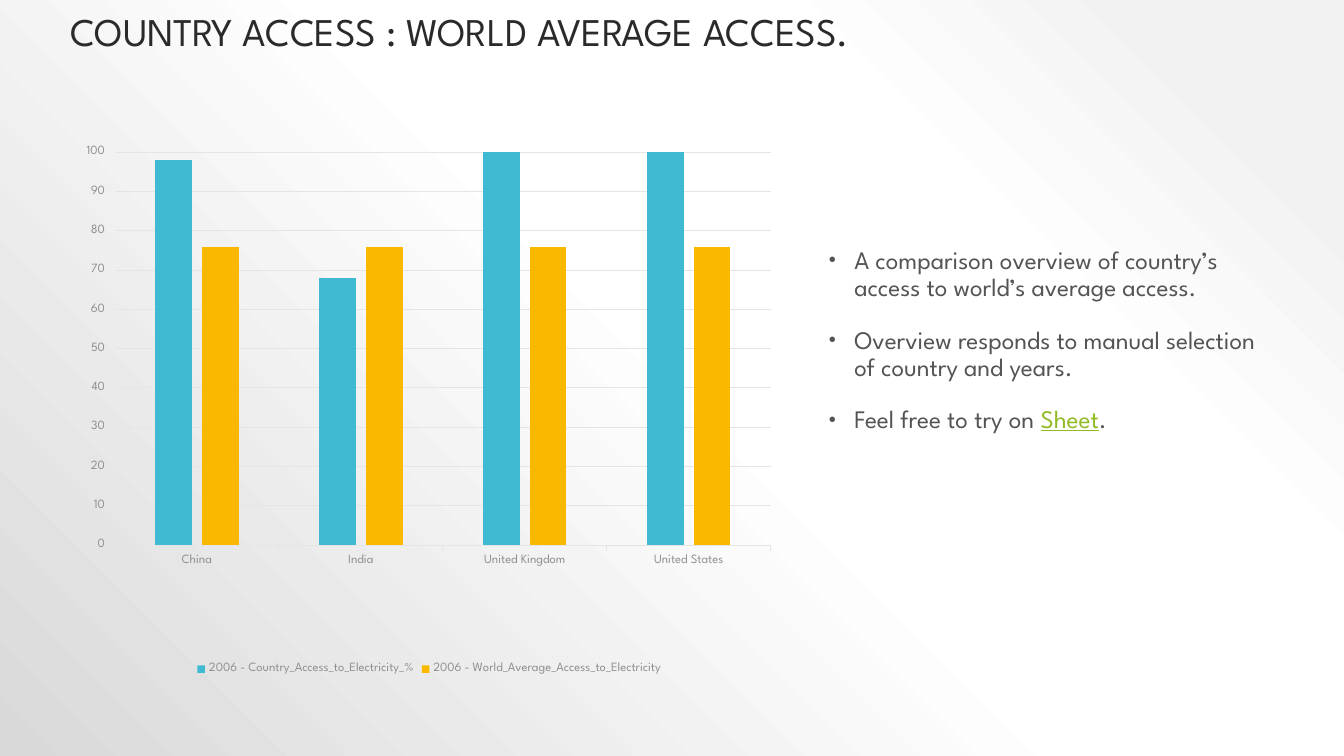
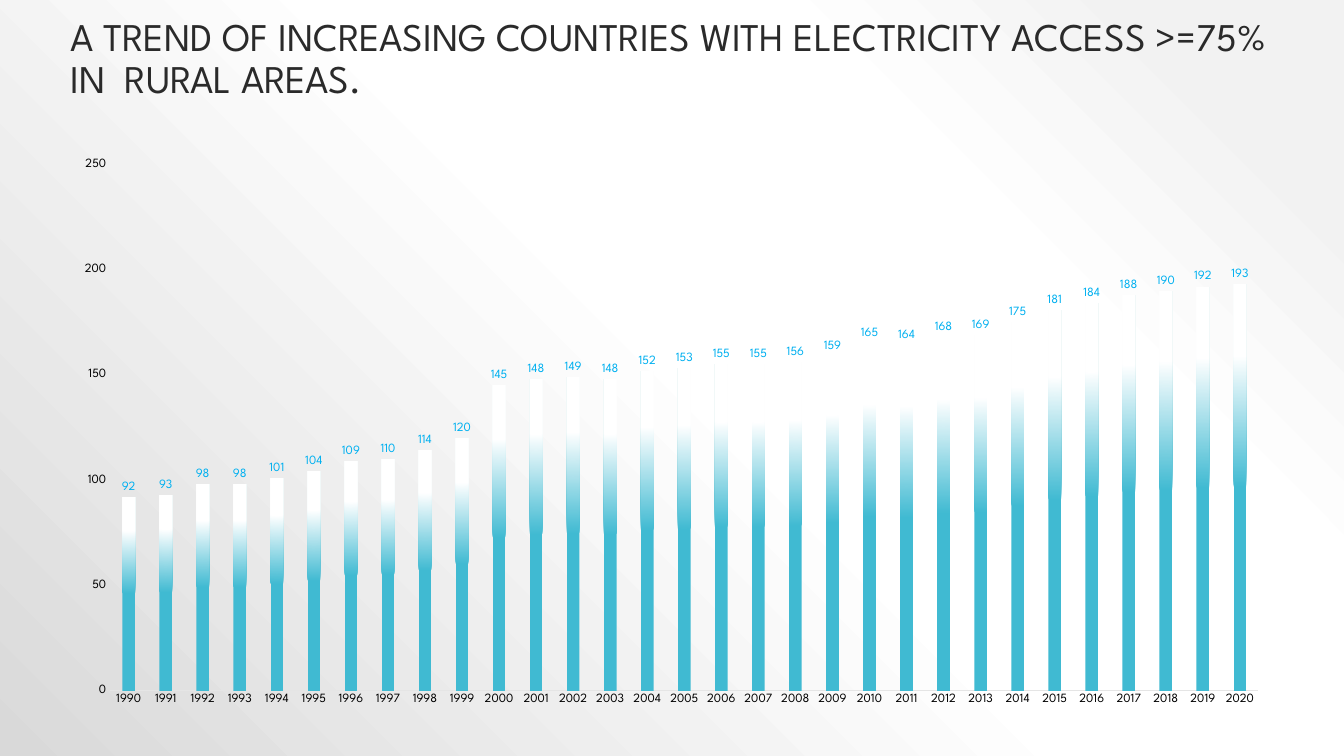
import pptx
import pptx.chart.data
import pptx.dml.color
import pptx.enum.chart
import pptx.enum.text
import pptx.oxml.ns
import pptx.util
from lxml import etree

Cm, Pt = pptx.util.Cm, pptx.util.Pt
qn = pptx.oxml.ns.qn
kinds = pptx.enum.chart

FACE = "League Spartan"
DARK, GREY, PALE, RULE = "2A2A2A", "545454", "909090", "E5E5E5"
BLUE, GOLD, GREEN, SKY = "40BAD2", "FAB900", "90BB23", "00B0F0"
LEFT, WIDE = 1.52, 30.81


def hue(code):
    return pptx.dml.color.RGBColor.from_string(code)


def blend(fill, root, stops, rect):
    """Give a fill, held somewhere in root, a circular gradient."""
    fill.gradient()
    grad = next(root.iter(qn("a:gradFill")))
    grad.clear()
    grad.set("rotWithShape", "1")
    row = etree.SubElement(grad, qn("a:gsLst"))
    for place, code in stops:
        stop = etree.SubElement(row, qn("a:gs"), pos=str(place * 1000))
        etree.SubElement(stop, qn("a:srgbClr"), val=code)
    ring = etree.SubElement(grad, qn("a:path"))
    ring.set("path", "circle")
    etree.SubElement(ring, qn("a:fillToRect"),
                     {side: str(part * 1000) for side, part in zip("ltrb", rect)})


deck = pptx.Presentation()
deck.slide_width, deck.slide_height = Cm(33.87), Cm(19.05)

# Shared background, set on the blank layout
blank = deck.slide_layouts[6]
blend(blank.background.fill, blank.element,
      [(10, "F2F2F2"), (28, "FFFFFF"), (48, "FFFFFF"), (100, "D9D9D9")],
      (100, 0, 0, 100))

# Content of the two slides
pages = [
    dict(title="COUNTRY ACCESS : WORLD AVERAGE ACCESS.", tall=1.37,
         box=(LEFT, 2.51, 18.59, 14.6), gap=219, lap=-27,
         top=100, step=10, tick=kinds.XL_TICK_MARK.OUTSIDE, ink=PALE,
         cats=["China", "India", "United Kingdom", "United States"],
         rows=[("2006 - Country_Access_to_Electricity_%", [98, 68, 100, 100]),
               ("2006 - World_Average_Access_to_Electricity", [76] * 4)]),
    dict(title="A TREND OF INCREASING COUNTRIES WITH ELECTRICITY ACCESS >=75% "
               "IN  RURAL AREAS.", tall=2.57,
         box=(LEFT, 3.73, WIDE, 14.35), gap=192, lap=0,
         top=250, step=50, tick=kinds.XL_TICK_MARK.NONE, ink="000000",
         cats=[str(year) for year in range(1990, 2021)],
         rows=[("Series 1", [92, 93, 98, 98, 101, 104, 109, 110, 114, 120, 145,
                             148, 149, 148, 152, 153, 155, 155, 156, 159, 165,
                             164, 168, 169, 175, 181, 184, 188, 190, 192, 193])]),
]
fonts = []  # (font, size, colour), styled at the end
slides, charts = [], []

# Titles and column charts
for page in pages:
    slide = deck.slides.add_slide(blank)
    slides.append(slide)
    frame = slide.shapes.add_textbox(
        Cm(LEFT), Cm(0.13), Cm(WIDE), Cm(page["tall"])).text_frame
    frame.word_wrap = True
    frame.vertical_anchor = pptx.enum.text.MSO_ANCHOR.BOTTOM
    frame.text = page["title"]
    line = frame.paragraphs[0]
    line.line_spacing = 0.9
    fonts.append((line.runs[0].font, 28, DARK))

    data = pptx.chart.data.CategoryChartData()
    data.categories = page["cats"]
    for name, vals in page["rows"]:
        data.add_series(name, vals)
    chart = slide.shapes.add_chart(
        kinds.XL_CHART_TYPE.COLUMN_CLUSTERED, *map(Cm, page["box"]), data).chart
    charts.append(chart)
    chart.has_title = chart.has_legend = False
    plot = chart.plots[0]
    plot.vary_by_categories = False
    plot.gap_width, plot.overlap = page["gap"], page["lap"]
    cat, val = chart.category_axis, chart.value_axis
    val.minimum_scale, val.maximum_scale = 0, page["top"]
    val.major_unit = page["step"]
    val.has_major_gridlines = False
    val.format.line.fill.background()
    cat.format.line.color.rgb = hue(RULE)
    cat.format.line.width = Pt(0.75)
    fonts.append((chart.font, 10, GREY))
    for axis in (cat, val):
        axis.major_tick_mark = page["tick"]
        axis.minor_tick_mark = kinds.XL_TICK_MARK.NONE
        fonts.append((axis.tick_labels.font, 9, page["ink"]))

# Slide 1: gridlines, legend, bar colours and fixed plot area
chart = charts[0]
grid = chart.value_axis.major_gridlines.format.line
grid.color.rgb = hue(RULE)
grid.width = Pt(0.75)
chart.has_legend = True
chart.legend.position = kinds.XL_LEGEND_POSITION.BOTTOM
chart.legend.include_in_layout = False
fonts.append((chart.legend.font, 9, PALE))
for bars, code in zip(chart.plots[0].series, (BLUE, GOLD)):
    bars.format.fill.solid()
    bars.format.fill.fore_color.rgb = hue(code)
area = next(chart.element.iter(qn("c:plotArea")))
for old in area.findall(qn("c:layout")):
    area.remove(old)
place = etree.Element(qn("c:layout"))
area.insert(0, place)
spot = etree.SubElement(place, qn("c:manualLayout"))
for tag, size in [("layoutTarget", "inner"), ("xMode", "edge"), ("yMode", "edge"),
                  ("x", "0.074"), ("y", "0.091"), ("w", "0.889"), ("h", "0.678")]:
    etree.SubElement(spot, qn("c:" + tag), val=size)

# Slide 1: bullets
frame = slides[0].shapes.add_textbox(
    Cm(20.52), Cm(6.12), Cm(11.81), Cm(6.2)).text_frame
frame.word_wrap = True
frame.text = ("A comparison overview of country’s access to world’s average access.\n"
              "Overview responds to manual selection of country and years.\n"
              "Feel free to try on ")
last = frame.paragraphs[-1]
for word in ("Sheet", "."):
    last.add_run().text = word
for line in frame.paragraphs:
    line.line_spacing = 0.9
    line.space_before = Pt(18)
    props = line._p.get_or_add_pPr()
    props.set("marL", str(Cm(0.76)))
    props.set("indent", str(Cm(-0.64)))
    tint = etree.SubElement(props, qn("a:buClr"))
    etree.SubElement(tint, qn("a:srgbClr"), val=GREY)
    etree.SubElement(props, qn("a:buSzPct"), val="80000")
    etree.SubElement(props, qn("a:buFont"), typeface="Arial")
    etree.SubElement(props, qn("a:buChar"), char="•")
    fonts += [(run.font, 18, GREY) for run in line.runs]
mark = last.runs[1].font
mark.underline = True
fonts.append((mark, 18, GREEN))

# Slide 2: gradient bars with values above
plot = charts[1].plots[0]
blend(plot.series[0].format.fill, charts[1].element,
      [(0, "FFFFFF"), (35, "FFFFFF"), (100, BLUE)], (50, -80, 50, 180))
plot.has_data_labels = True
tags = plot.data_labels
tags.show_value = True
tags.position = kinds.XL_LABEL_POSITION.OUTSIDE_END
fonts.append((tags.font, 9, SKY))

# Style all text
for font, size, code in fonts:
    font.name, font.size = FACE, Pt(size)
    font.color.rgb = hue(code)

deck.save("out.pptx")
